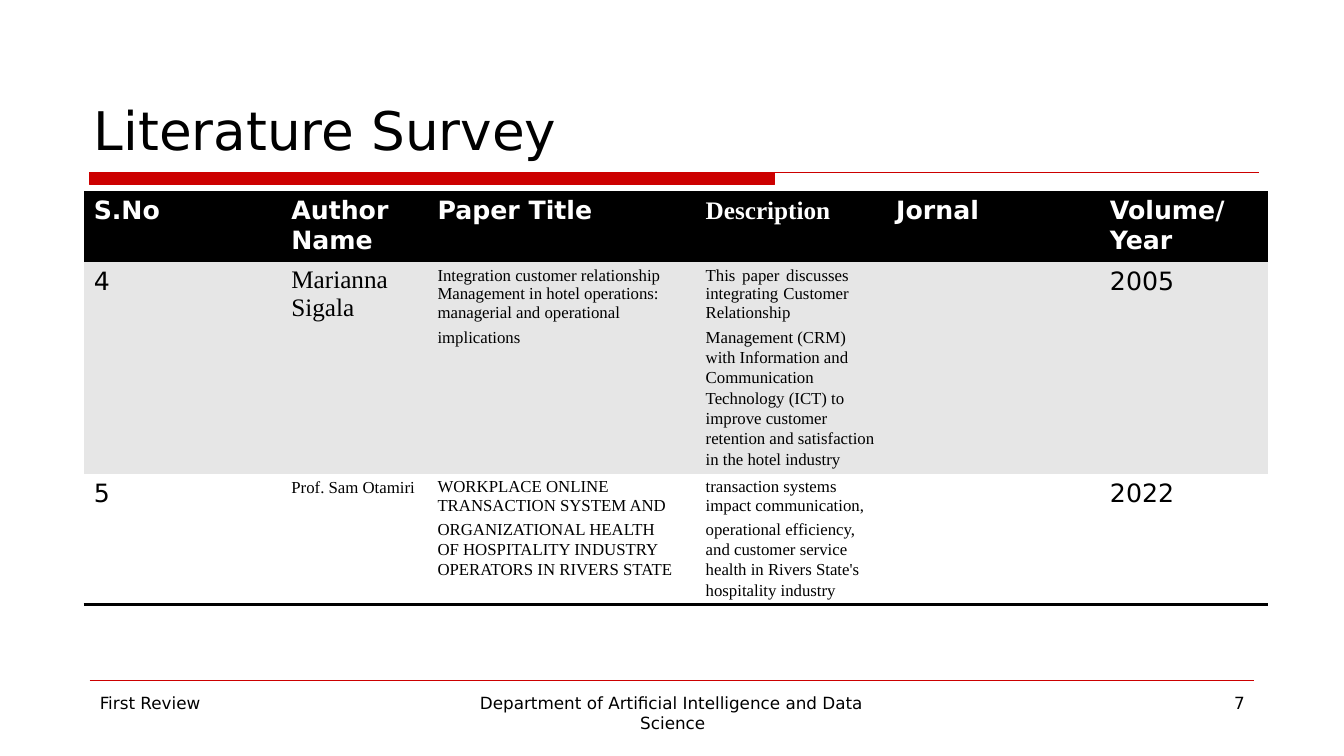
from lxml import etree
from pptx import Presentation, oxml, util as u
from pptx.dml.color import RGBColor
from pptx.enum import shapes, text
from pptx.oxml import ns

BLACK = RGBColor(0, 0, 0)
WHITE = RGBColor(255, 255, 255)
GREY = RGBColor(0xE6, 0xE6, 0xE6)
RED = RGBColor(0xCC, 0, 0)
SANS = "DejaVu Sans"
SERIF = "Times New Roman"
NO_STYLE = "{2D5ABB26-0587-4C30-8999-92F81FD0307C}"

COLUMN_WIDTHS = [1.41, 1.99, 2.67, 1.88, 1.6, 2.2]
COLUMN_INDENTS = [0.1, 0.65, 0.11, 0.1, 0.11, 0.63]
ROW_HEIGHTS = [0.71, 0.66] + [0.2] * 6 + [0.24, 0.46] + [0.2] * 3 + [0.24]
HEADINGS = ["S.No", "Author\nName", "Paper Title", "Description", "Jornal", "Volume/\nYear"]
JOURNAL = 4

# Each paper: first row, last row, fill, first-row texts, further title and description lines
PAPERS = [
    (1, 8, GREY,
     ["4", "Marianna Sigala",
      "Integration customer relationship Management in hotel operations: "
      "managerial and operational",
      "This paper discusses integrating Customer Relationship", "", "2005"],
     ["implications"],
     ["Management (CRM)", "with Information and", "Communication", "Technology (ICT) to",
      "improve customer", "retention and satisfaction", "in the hotel industry"]),
    (9, 13, WHITE,
     ["5", "Prof. Sam Otamiri", "WORKPLACE ONLINE TRANSACTION SYSTEM AND",
      "transaction systems impact communication,", "", "2022"],
     ["ORGANIZATIONAL HEALTH", "OF HOSPITALITY INDUSTRY", "OPERATORS IN RIVERS STATE"],
     ["operational efficiency,", "and customer service", "health in Rivers State's",
      "hospitality industry"]),
]


def write(frame, words, size=12, font=SANS, color=BLACK, bold=False, indent=0.01,
          first=0, right=0, top=0.01, before=0, spacing=None, align=text.PP_ALIGN.LEFT):
    """Fill a text frame or cell; each line of words becomes a paragraph."""
    body = getattr(frame, "text_frame", frame)
    frame.margin_left = frame.margin_right = frame.margin_bottom = 0
    frame.margin_top = u.Inches(top)
    body.word_wrap = True
    for index, line in enumerate(words.split("\n")):
        para = body.add_paragraph() if index else body.paragraphs[0]
        para.alignment = align
        para.space_before = u.Pt(0 if index else before)
        if spacing:
            para.line_spacing = u.Pt(spacing)
        props = para._p.get_or_add_pPr()
        for name, value in (("marL", indent), ("indent", first), ("marR", right)):
            props.set(name, str(u.Inches(value)))
        if not line:
            etree.SubElement(para._p, ns.qn("a:endParaRPr"), sz=str(size * 100))
            continue
        span = para.add_run()
        span.text = line
        span.font.size = u.Pt(size)
        span.font.name = font
        span.font.bold = bold
        span.font.color.rgb = color


def first_row_format(column, words):
    """Format of a cell in the first row of a paper."""
    if column in (0, 5):
        return dict(size=18, top=0.05, before=3.5)
    if column == 1:
        short = words.startswith("Prof.")
        return dict(size=12 if short else 18, font=SERIF, top=0.05 if short else 0.04, before=3)
    style = dict(font=SERIF, top=0.04, before=3, right=0.14)
    if words.startswith("This"):
        style.update(right=0.36, align=text.PP_ALIGN.JUSTIFY)
    return style


class SurveySlide:
    def __init__(self, deck):
        self.page = deck.slides.add_slide(deck.slide_layouts[5])

    def title(self, words):
        box = self.page.shapes.title
        box.left, box.top, box.width, box.height = map(u.Inches, (0.92, 0.96, 11.49, 0.66))
        box.text_frame.auto_size = text.MSO_AUTO_SIZE.NONE
        box.text_frame.vertical_anchor = text.MSO_ANCHOR.TOP
        write(box.text_frame, words, size=38, before=1.1)

    def label(self, words, left, width, height=0.23, **style):
        box = self.page.shapes.add_textbox(*map(u.Inches, (left, 6.86, width, height)))
        write(box.text_frame, words, before=1.1, **style)

    def bar(self, left, top, width, height):
        box = self.page.shapes.add_shape(
            shapes.MSO_SHAPE.RECTANGLE, *map(u.Inches, (left, top, width, height)))
        box.shadow.inherit = False
        box.fill.solid()
        box.fill.fore_color.rgb = RED
        box.line.color.rgb = RED
        box.line.width = u.Pt(0.75)

    def rule(self, left, right, y):
        line = self.page.shapes.add_connector(
            shapes.MSO_CONNECTOR.STRAIGHT, *map(u.Inches, (left, y, right, y)))
        line.line.color.rgb = RED
        line.line.width = u.Pt(0.75)
        etree.SubElement(line._element.spPr, ns.qn("a:effectLst"))

    def cell(self, row, column, words, fill, **style):
        cell = self.table.cell(row, column)
        cell.fill.solid()
        cell.fill.fore_color.rgb = fill
        write(cell, words, indent=COLUMN_INDENTS[column], **style)

    def underline(self, cell):
        border = oxml.parse_xml(
            f'<a:lnB {ns.nsdecls("a")} w="{int(u.Pt(2.25))}"><a:solidFill>'
            f'<a:srgbClr val="{BLACK}"/></a:solidFill></a:lnB>')
        cell._tc.get_or_add_tcPr().insert(0, border)

    def survey(self):
        frame = self.page.shapes.add_table(
            len(ROW_HEIGHTS), len(COLUMN_WIDTHS),
            *map(u.Inches, (0.83, 1.89, sum(COLUMN_WIDTHS), sum(ROW_HEIGHTS))))
        self.table = frame.table
        self.table.first_row = self.table.horz_banding = False
        self.table._tbl.tblPr.find(ns.qn("a:tableStyleId")).text = NO_STYLE
        for column, width in zip(self.table.columns, COLUMN_WIDTHS):
            column.width = u.Inches(width)
        for row, height in zip(self.table.rows, ROW_HEIGHTS):
            row.height = u.Inches(height)
        for column, words in enumerate(HEADINGS):
            self.cell(0, column, words, BLACK, size=18, color=WHITE, bold=True, top=0.06,
                      before=4.5, font=SERIF if words == "Description" else SANS)
        for paper in PAPERS:
            self.paper(*paper)
        last = len(ROW_HEIGHTS) - 1
        for cell in self.table.rows[last].cells:
            self.underline(cell)
        self.underline(self.table.cell(PAPERS[-1][0], JOURNAL))

    def paper(self, start, end, fill, texts, title_lines, description_lines):
        for column, words in enumerate(texts):
            self.cell(start, column, words, fill, **first_row_format(column, words))
        further = {2: title_lines, 3: description_lines}
        for row in range(start + 1, end + 1):
            for column in range(len(COLUMN_WIDTHS)):
                lines = further.get(column, [])
                offset = row - start - 1
                if offset < len(lines):
                    self.cell(row, column, lines[offset], fill, font=SERIF, top=0,
                              spacing=13.7 if row == end else 13.4)
                else:
                    self.cell(row, column, "", fill, size=8, top=0)
        self.table.cell(start, JOURNAL).merge(self.table.cell(end, JOURNAL))


def main():
    deck = Presentation()
    deck.slide_width, deck.slide_height = u.Inches(13.33), u.Inches(7.5)
    slide = SurveySlide(deck)
    slide.bar(0.89, 1.71, 6.79, 0.12)
    slide.rule(0.89, 12.49, 1.71)
    slide.rule(0.89, 12.44, 6.75)
    slide.title("Literature Survey")
    slide.label("First Review", 0.98, 1.05)
    slide.label("Department of Artificial Intelligence and Data Science",
                4.68, 3.91, 0.43, indent=1.67, first=-1.59)
    slide.label("7", 12.09, 0.31, indent=0.15)
    slide.survey()
    deck.save("out.pptx")


if __name__ == "__main__":
    main()
